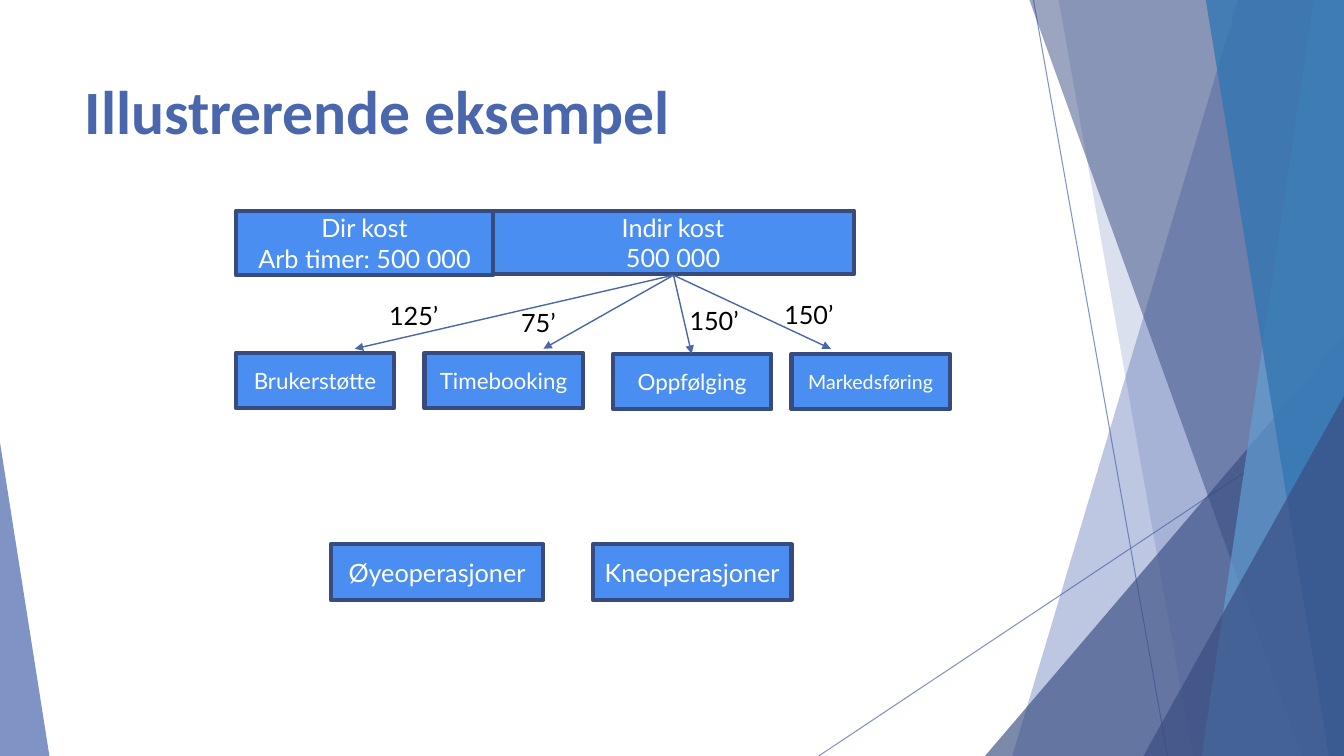
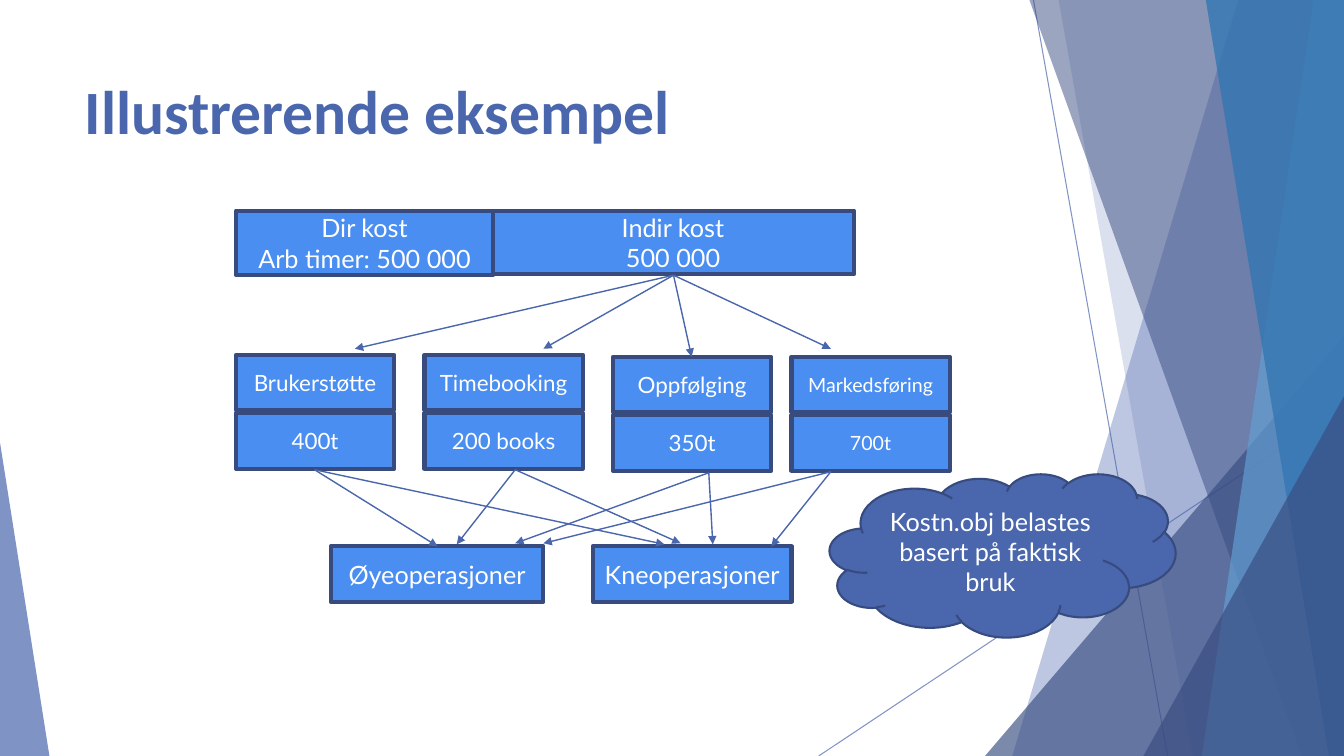
from lxml.etree import SubElement
from pptx import Presentation
from pptx.dml.color import RGBColor
from pptx.enum.shapes import MSO_CONNECTOR, MSO_SHAPE
from pptx.enum.text import MSO_ANCHOR, PP_ALIGN
from pptx.oxml.ns import qn
from pptx.util import Inches, Pt

BLUE = RGBColor(0x4A, 0x66, 0xAC)
NAVY = RGBColor(0x38, 0x4C, 0x81)
SKY = RGBColor(0x62, 0x9D, 0xD1)
TEAL = RGBColor(0x34, 0x77, 0xB2)
BOX = RGBColor(0x4A, 0x8E, 0xF2)
EDGE = RGBColor(0x37, 0x4B, 0x7F)
WHITE = RGBColor(0xFF, 0xFF, 0xFF)
BLACK = RGBColor(0, 0, 0)
WIDTH, HEIGHT = 13.33, 7.5

STEPS = [("Brukerstøtte", 16), ("Timebooking", 16),
         ("Oppfølging", 16), ("Markedsføring", 14)]
STEP_X = [2.34, 4.21, 6.08, 7.85]
STEP_W, BOX_H = 1.57, 0.55
AMOUNTS = [("125’", 3.76, 2.93), ("75’", 5.07, 3),
           ("150’", 6.74, 2.98), ("150’", 7.68, 2.92)]
VOLUMES = ["400t", "200 books", "350t", "700t"]
USES = [
    ((3.12, 4.66), [(4.34, 5.42), (6.59, 5.4)]),
    ((5.11, 4.66), [(4.53, 5.4), (6.75, 5.39)]),
    ((7.03, 4.69), [(7.07, 5.4), (5.11, 5.39)]),
    ((8.24, 4.68), [(7.65, 5.42), (5.39, 5.39)]),
]


def fade(fill, percent):
    """Make a solid fill partly transparent."""
    color = fill._xPr.find(qn("a:solidFill"))[0]
    SubElement(color, qn("a:alpha"), val=str(percent * 1000))


def paint(shape, color, percent):
    shape.shadow.inherit = False
    shape.fill.solid()
    shape.fill.fore_color.rgb = color
    fade(shape.fill, percent)
    shape.line.fill.background()
    return shape


def add_line(slide, start, end, width):
    points = [Inches(v) for v in (*start, *end)]
    line = slide.shapes.add_connector(MSO_CONNECTOR.STRAIGHT, *points)
    line.line.color.rgb = BLUE
    line.line.width = Pt(width)
    SubElement(line.element.spPr, qn("a:effectLst"))
    return line


def add_arrows(slide, start, ends):
    for end in ends:
        line = add_line(slide, start, end, 1)
        SubElement(line.line._get_or_add_ln(), qn("a:tailEnd"), type="triangle")


def add_ray(slide, start, end):
    line = add_line(slide, start, end, 0.75)
    fade(line.line.fill, 70)
    return line


def add_band(slide, top, foot, color, percent):
    """Fill from a slanted left side to the right slide edge."""
    path = slide.shapes.build_freeform(Inches(top), 0, scale=1.0)
    path.add_line_segments([(Inches(x), Inches(y)) for x, y in
                            [(WIDTH, 0), (WIDTH, HEIGHT), (foot, HEIGHT)]])
    return paint(path.convert_to_shape(), color, percent)


def add_wedge(slide, left, top, width, peak, color, percent):
    """Stand a right triangle on the bottom slide edge."""
    wedge = slide.shapes.add_shape(
        MSO_SHAPE.ISOSCELES_TRIANGLE, Inches(left), Inches(top),
        Inches(width), Inches(HEIGHT - top))
    wedge.adjustments[0] = peak
    return paint(wedge, color, percent)


def add_backdrop(slide, layout):
    """Draw the facets and move them to the layout that slides share."""
    parts = [
        add_ray(slide, (10.25, 0), (11.58, HEIGHT)),
        add_ray(slide, (WIDTH, 4.03), (8.12, HEIGHT)),
        add_band(slide, 12.28, 10.04, BLUE, 36),
        add_band(slide, 10.5, 11.83, BLUE, 20),
        add_wedge(slide, 9.77, 3.33, 3.56, 1, NAVY, 66),
        add_band(slide, 10.21, 12.91, NAVY, 50),
        add_band(slide, 13.03, 11.92, SKY, 70),
        add_band(slide, 11.96, 13.18, TEAL, 80),
        add_wedge(slide, 11.34, 3.93, 1.99, 1, NAVY, 66),
        add_wedge(slide, 0, 4.39, 0.49, 0, BLUE, 70),
    ]
    for part in parts:
        layout.shapes.element.append(part.element)


def set_text(frame, text, size, color, align):
    frame.word_wrap = True
    frame.text = text
    for para in frame.paragraphs:
        para.alignment = align
        para.font.name = "Lato"
        para.font.size = Pt(size)
        para.font.color.rgb = color


def add_box(slide, text, left, top, width, height=BOX_H, size=18,
            kind=MSO_SHAPE.RECTANGLE, fill=BOX, edge=3):
    box = slide.shapes.add_shape(kind, Inches(left), Inches(top),
                                 Inches(width), Inches(height))
    box.shadow.inherit = False
    box.fill.solid()
    box.fill.fore_color.rgb = fill
    box.line.color.rgb = EDGE
    box.line.width = Pt(edge)
    box.text_frame.vertical_anchor = MSO_ANCHOR.MIDDLE
    set_text(box.text_frame, text, size, WHITE, PP_ALIGN.CENTER)


def add_label(slide, text, left, top):
    label = slide.shapes.add_textbox(Inches(left), Inches(top),
                                     Inches(0.79), Inches(0.4))
    set_text(label.text_frame, text, 18, BLACK, PP_ALIGN.LEFT)


def add_title(slide):
    title = slide.shapes.title
    title.left, title.top = Inches(0.74), Inches(0.67)
    title.width, title.height = Inches(9.4), Inches(1.44)
    frame = title.text_frame
    frame.text = "Illustrerende eksempel"
    frame.vertical_anchor = MSO_ANCHOR.TOP
    para = frame.paragraphs[0]
    para.alignment = PP_ALIGN.LEFT
    para.font.name = "Calibri"
    para.font.size = Pt(44)
    para.font.bold = True
    para.font.color.rgb = BLUE


def add_row(slide, texts, top, drop):
    """Place one box per step; the last two sit lower by drop."""
    for i, (text, left) in enumerate(zip(texts, STEP_X)):
        add_box(slide, text, left, top + drop * (i > 1), STEP_W,
                size=STEPS[i][1])


def add_flow(slide, top, drop, base):
    """Draw costs, steps from top down, and cost objects at base."""
    add_title(slide)
    add_box(slide, "Indir kost\n500 000", 4.88, 2.09, 3.59, 0.63)
    add_box(slide, "Dir kost\nArb timer: 500 000", 2.34, 2.09, 2.55, 0.64)
    add_box(slide, "Øyeoperasjoner", 3.28, base, 2.11)
    add_box(slide, "Kneoperasjoner", 5.88, base, 1.97)
    add_row(slide, [name for name, _ in STEPS], top, drop)
    add_arrows(slide, (6.68, 2.73), [(3.52, 3.46), (5.39, 3.46),
                                     (6.86, top + drop), (8.24, 3.46)])


def add_split(slide):
    add_flow(slide, 3.5, 0.01, 5.4)
    for amount in AMOUNTS:
        add_label(slide, *amount)


def add_usage(slide):
    add_flow(slide, 3.52, 0.02, 5.42)
    add_row(slide, VOLUMES, 4.1, 0.02)
    for start, ends in USES:
        add_arrows(slide, start, ends)
    add_box(slide, "Kostn.obj belastes basert på faktisk bruk",
            8.23, 4.7, 3.43, 1.62, kind=MSO_SHAPE.CLOUD, fill=BLUE, edge=1.5)


def main():
    deck = Presentation()
    deck.slide_width, deck.slide_height = Inches(WIDTH), Inches(HEIGHT)
    layout = deck.slide_layouts.get_by_name("Title Only")
    first, second = [deck.slides.add_slide(layout) for _ in range(2)]
    add_backdrop(first, layout)
    add_split(first)
    add_usage(second)
    deck.save("out.pptx")


if __name__ == "__main__":
    main()
